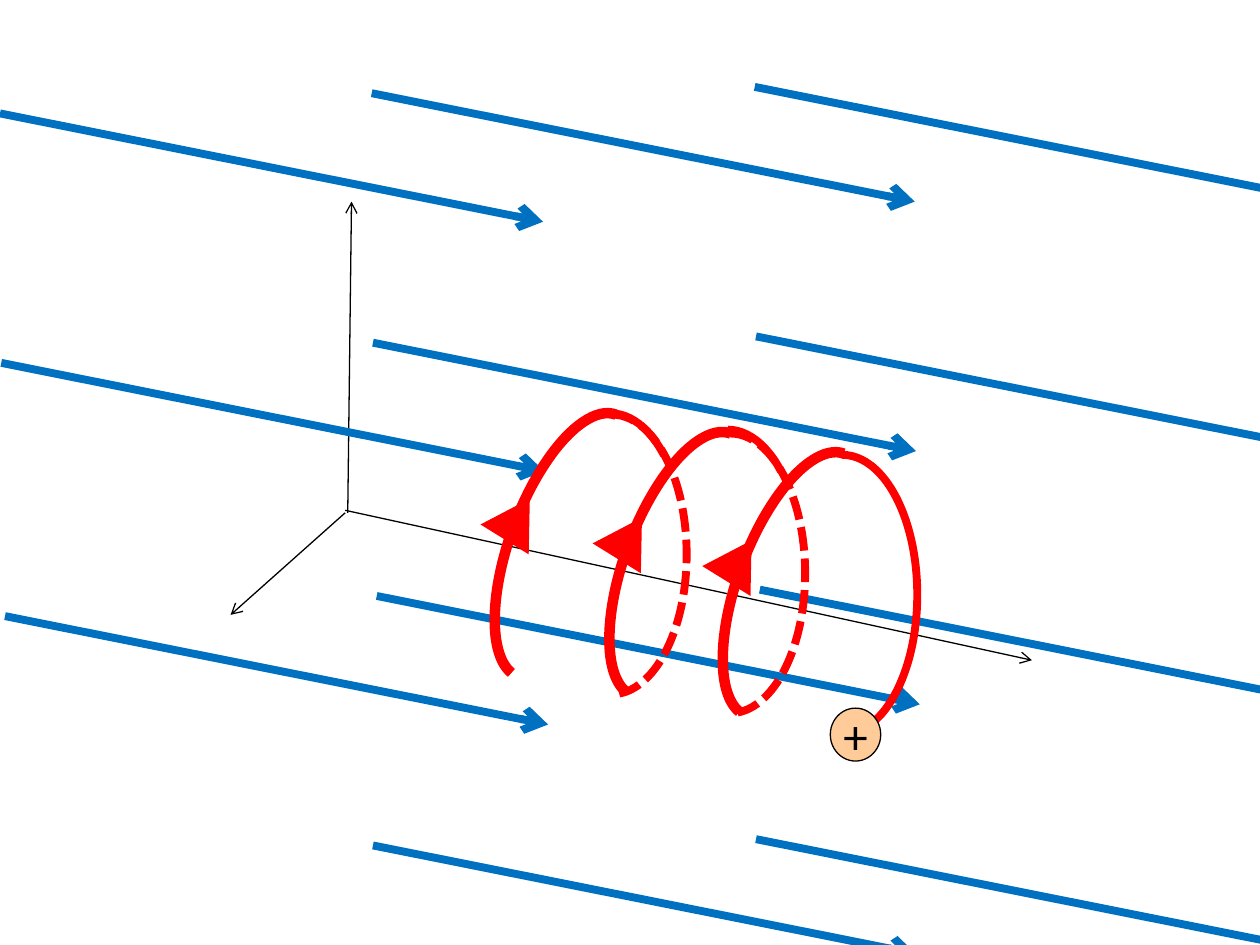
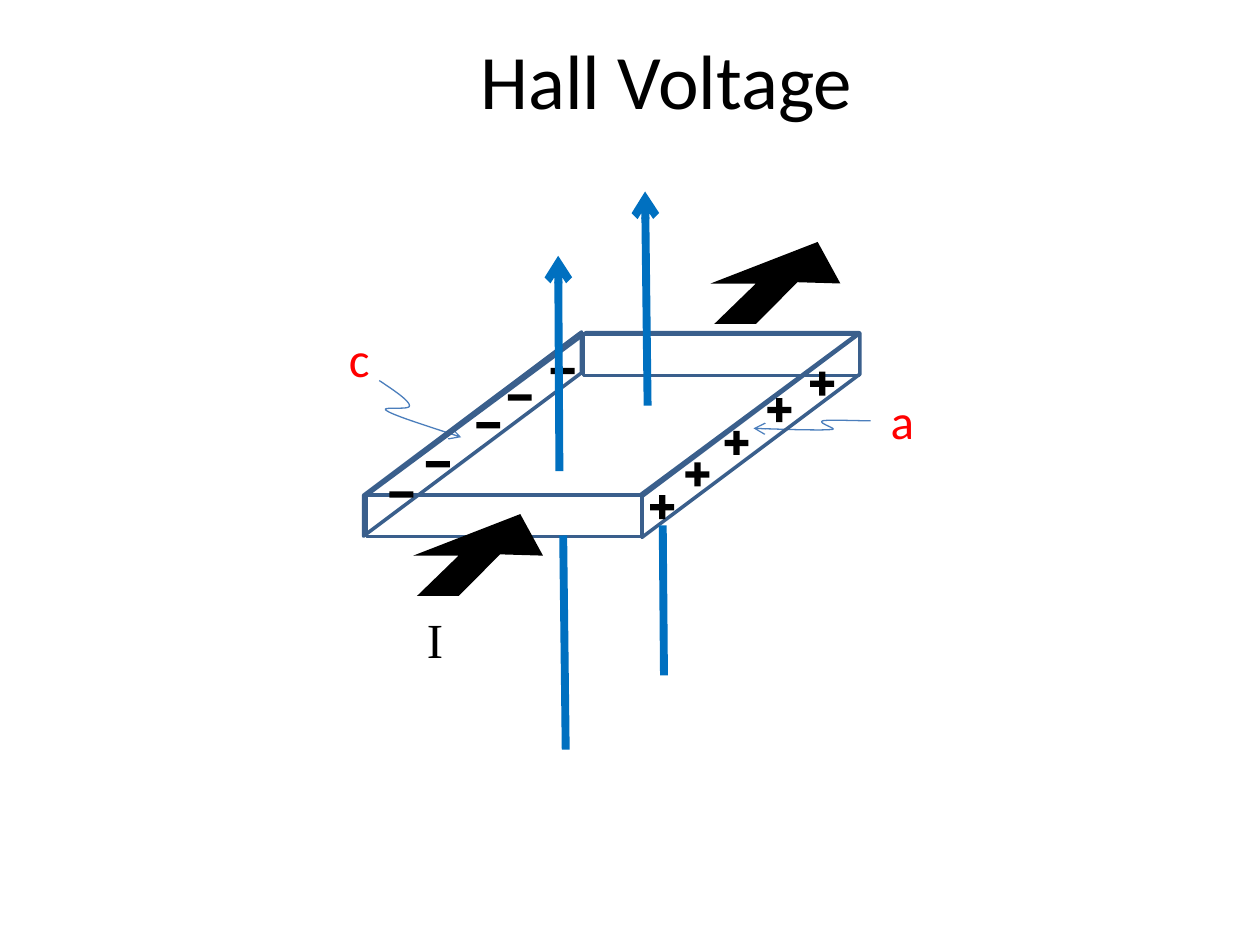
import dataclasses
import itertools
import typing

import lxml.etree
import pptx
import pptx.dml.color
import pptx.enum.dml
import pptx.enum.shapes
import pptx.enum.text
import pptx.oxml.ns
import pptx.shapes.base
import pptx.slide
import pptx.text.text
import pptx.util

EMU_PER_PX = 9144
ARC_UNITS_PER_DEGREE = 0.6
PRESETS = pptx.enum.shapes.MSO_SHAPE
CENTER = pptx.enum.text.PP_ALIGN.CENTER
MIDDLE = pptx.enum.text.MSO_ANCHOR.MIDDLE

Point = tuple[int, int]
Box = tuple[int, int, int, int]


@dataclasses.dataclass(frozen=True)
class Theme:
    black: str = "000000"
    field: str = "0070C0"
    red: str = "FF0000"
    charge: str = "FFCC99"
    edge: str = "3A5F8C"
    pointer: str = "4B7EBC"
    font: str = "Calibri"
    symbol_font: str = "Times New Roman"
    title_size: int = 44
    label_size: int = 28
    hairline: float = 0.75
    edge_width: float = 2
    field_width: float = 4.5
    front_width: float = 6


THEME = Theme()


@dataclasses.dataclass(frozen=True)
class Stroke:
    color: str
    width: float
    arrow: bool = False
    dashed: bool = False


AXIS = Stroke(THEME.black, THEME.hairline, arrow=True)
FIELD = Stroke(THEME.field, THEME.field_width, arrow=True)
FIELD_BELOW = Stroke(THEME.field, THEME.field_width)
POINTER = Stroke(THEME.pointer, THEME.hairline, arrow=True)
EDGE = Stroke(THEME.edge, THEME.edge_width)
COIL = Stroke(THEME.red, THEME.field_width)
COIL_HIDDEN = Stroke(THEME.red, THEME.field_width, dashed=True)
COIL_FRONT = Stroke(THEME.red, THEME.front_width)


class Segment(typing.NamedTuple):
    start: Point
    end: Point
    stroke: Stroke


class Turn(typing.NamedTuple):
    front: Point
    back: Point
    head: Point
    stroke: Stroke


class Label(typing.NamedTuple):
    text: str
    box: Box
    color: str
    font: str


class Face(typing.NamedTuple):
    preset: PRESETS
    box: Box
    skew: float | None = None
    upright: bool = False


AXES = (
    Segment((276, 407), (279, 160), AXIS),
    Segment((274, 405), (819, 524), AXIS),
    Segment((274, 407), (183, 488), AXIS),
)
FIELD_COLUMNS = (((295, 74), 4), ((0, 90), 3), ((599, 69), 4))
FIELD_ROWS = ((0, 0), (1, 198), (4, 399), (1, 597))
FIELD_STEP = (431, 86)

TURNS = (
    Turn((405, 322), (426, 329), (388, 393), COIL_HIDDEN),
    Turn((496, 337), (520, 344), (477, 408), COIL_HIDDEN),
    Turn((586, 353), (609, 361), (564, 426), COIL),
)
VISIBLE_CRESTS = ((425, 328), (518, 341))
FRONT_SIZE = (90, 222)
BACK_SIZE = (119, 222)
HEAD_SIZE = (45, 38)
TOP_ANGLE = 270
HALF_END = 86.92
CREST_END = 298.56

LABELS = (
    Label("a", (697, 305, 39, 57), THEME.red, THEME.font),
    Label("c", (267, 256, 37, 57), THEME.red, THEME.font),
    Label("I", (329, 479, 33, 57), THEME.black, THEME.symbol_font),
)
POINTERS = (
    ((301, 302), (313, 310), (325, 318), (325, 322), (326, 326), (300, 322),
     (307, 326), (313, 330), (339, 338), (366, 347)),
    ((691, 334), (675, 334), (659, 333), (653, 334), (648, 336), (668, 341),
     (659, 341), (649, 342), (598, 340), (598, 340)),
)
PLATE = (
    Face(PRESETS.PARALLELOGRAM, (291, 264, 391, 129), 1.35),
    Face(PRESETS.RECTANGLE, (463, 265, 219, 33)),
    Face(PRESETS.PARALLELOGRAM, (515, 259, 162, 173), 0.8, True),
    Face(PRESETS.PARALLELOGRAM, (294, 258, 162, 173), 0.8, True),
    Face(PRESETS.RECTANGLE, (291, 393, 219, 33)),
)
BAR_SIZE = (19, 5)
NEGATIVES = ((403, 313), (437, 292), (309, 390), (338, 366), (378, 335))
POSITIVES = ((575, 349), (609, 323), (643, 302), (516, 400), (544, 374))
PLATE_FIELD = (
    Segment((514, 322), (512, 152), FIELD),
    Segment((444, 374), (443, 203), FIELD),
    Segment((527, 536), (526, 417), FIELD_BELOW),
    Segment((449, 595), (447, 425), FIELD_BELOW),
)
CURRENT_OUTLINE = ((36, 65), (3, 65), (36, 33), (0, 33), (85, 0), (103, 33), (69, 32))
CURRENT_ORIGINS = ((564, 192), (328, 408))


def px(value: float) -> int:
    return pptx.util.Emu(round(value * EMU_PER_PX))


def rgb(color: str) -> pptx.dml.color.RGBColor:
    return pptx.dml.color.RGBColor.from_string(color)


def shift(point: Point, offset: Point) -> Point:
    return point[0] + offset[0], point[1] + offset[1]


def write_text(frame: pptx.text.text.TextFrame, text: str, *,
               size: int = THEME.label_size, color: str = THEME.black,
               font: str = THEME.font, align=None, anchor=None,
               wrap: bool = False) -> None:
    frame.word_wrap = wrap
    if anchor is not None:
        frame.vertical_anchor = anchor
    paragraph = frame.paragraphs[0]
    paragraph.alignment = align
    run = paragraph.add_run()
    run.text = text
    run.font.name = font
    run.font.size = pptx.util.Pt(size)
    run.font.color.rgb = rgb(color)


def apply_stroke(shape: pptx.shapes.base.BaseShape, stroke: Stroke) -> None:
    shape.line.color.rgb = rgb(stroke.color)
    shape.line.width = pptx.util.Pt(stroke.width)
    if stroke.dashed:
        shape.line.dash_style = pptx.enum.dml.MSO_LINE.SQUARE_DOT
    if stroke.arrow:
        outline = shape._element.spPr.get_or_add_ln()
        lxml.etree.SubElement(outline, pptx.oxml.ns.qn("a:tailEnd"), type="arrow")


def style_shape(shape: pptx.shapes.base.BaseShape, fill: str | None,
                stroke: Stroke | None) -> None:
    shape.shadow.inherit = False
    if fill:
        shape.fill.solid()
        shape.fill.fore_color.rgb = rgb(fill)
    else:
        shape.fill.background()
    if stroke:
        apply_stroke(shape, stroke)
    else:
        shape.line.fill.background()


def draw_segment(slide: pptx.slide.Slide, segment: Segment) -> None:
    connector = slide.shapes.add_connector(
        pptx.enum.shapes.MSO_CONNECTOR.STRAIGHT,
        *(px(value) for value in segment.start + segment.end))
    apply_stroke(connector, segment.stroke)
    lxml.etree.SubElement(connector._element.spPr, pptx.oxml.ns.qn("a:effectLst"))


def draw_preset(slide: pptx.slide.Slide, preset: PRESETS, box: Box, *,
                fill: str | None = None, stroke: Stroke | None = None,
                rotation: float = 0, flip: str | None = None,
                adjustments: tuple[float, ...] = ()) -> pptx.shapes.base.BaseShape:
    shape = slide.shapes.add_shape(preset, *(px(value) for value in box))
    style_shape(shape, fill, stroke)
    shape.rotation = rotation
    if flip:
        shape._element.spPr.xfrm.set(flip, "1")
    for index, value in enumerate(adjustments):
        shape.adjustments[index] = value
    return shape


def draw_arc(slide: pptx.slide.Slide, box: Box, end_angle: float, stroke: Stroke,
             rotation: float = 0, flip: str | None = None) -> None:
    angles = (TOP_ANGLE * ARC_UNITS_PER_DEGREE, end_angle * ARC_UNITS_PER_DEGREE)
    draw_preset(slide, PRESETS.ARC, box, stroke=stroke, rotation=rotation,
                flip=flip, adjustments=angles)


def draw_outline(slide: pptx.slide.Slide, points: list[tuple[float, float]], *,
                 fill: str | None = None, stroke: Stroke | None = None) -> None:
    corners = [(px(x), px(y)) for x, y in points]
    builder = slide.shapes.build_freeform(*corners[0])
    builder.add_line_segments(corners[1:], close=fill is not None)
    style_shape(builder.convert_to_shape(), fill, stroke)


def curve_points(controls: tuple[Point, ...], steps: int = 12) -> list[tuple[float, float]]:
    points = [controls[0]]
    for first in range(0, len(controls) - 1, 3):
        knots = controls[first:first + 4]
        for step in range(1, steps + 1):
            t = step / steps
            weights = ((1 - t) ** 3, 3 * t * (1 - t) ** 2, 3 * t * t * (1 - t), t ** 3)
            points.append(tuple(
                sum(weight * knot[axis] for weight, knot in zip(weights, knots))
                for axis in (0, 1)))
    return points


def build_helix_slide(presentation) -> None:
    slide = presentation.slides.add_slide(presentation.slide_layouts[6])
    for axis in AXES:
        draw_segment(slide, axis)
    for origin, count in FIELD_COLUMNS:
        for offset in FIELD_ROWS[:count]:
            start = shift(origin, offset)
            draw_segment(slide, Segment(start, shift(start, FIELD_STEP), FIELD))
    for turn in TURNS:
        draw_arc(slide, turn.back + BACK_SIZE, HALF_END, turn.stroke)
        draw_arc(slide, turn.front + FRONT_SIZE, HALF_END, COIL_FRONT, 20.5, "flipH")
    for crest in VISIBLE_CRESTS:
        draw_arc(slide, crest + BACK_SIZE, CREST_END, COIL)
    for turn in TURNS:
        draw_preset(slide, PRESETS.ISOSCELES_TRIANGLE, turn.head + HEAD_SIZE,
                    fill=THEME.red, rotation=31.8)
    charge = draw_preset(slide, PRESETS.OVAL, (659, 562, 40, 42), fill=THEME.charge,
                         stroke=Stroke(THEME.black, THEME.hairline))
    write_text(charge.text_frame, "+", align=CENTER, anchor=MIDDLE)


def build_hall_slide(presentation) -> None:
    slide = presentation.slides.add_slide(presentation.slide_layouts[5])
    title = slide.shapes.title
    title.left, title.top, title.width, title.height = map(px, (175, 0, 708, 125))
    write_text(title.text_frame, "Hall Voltage", size=THEME.title_size,
               align=CENTER, anchor=MIDDLE, wrap=True)
    for label in LABELS:
        frame = slide.shapes.add_textbox(*map(px, label.box)).text_frame
        write_text(frame, label.text, color=label.color, font=label.font)
        frame.auto_size = pptx.enum.text.MSO_AUTO_SIZE.SHAPE_TO_FIT_TEXT
    for controls in POINTERS:
        draw_outline(slide, curve_points(controls), stroke=POINTER)
    for face in PLATE:
        draw_preset(slide, face.preset, face.box, stroke=EDGE,
                    rotation=270 if face.upright else 0,
                    flip="flipV" if face.upright else None,
                    adjustments=(face.skew,) if face.skew else ())
    bars = itertools.chain(((corner, 0) for corner in NEGATIVES + POSITIVES),
                           ((corner, 90) for corner in POSITIVES))
    for corner, rotation in bars:
        draw_preset(slide, PRESETS.RECTANGLE, corner + BAR_SIZE,
                    fill=THEME.black, rotation=rotation)
    for segment in PLATE_FIELD:
        draw_segment(slide, segment)
    for origin in CURRENT_ORIGINS:
        draw_outline(slide, [shift(point, origin) for point in CURRENT_OUTLINE],
                     fill=THEME.black)


def main() -> None:
    presentation = pptx.Presentation()
    presentation.slide_width, presentation.slide_height = px(1000), px(750)
    build_helix_slide(presentation)
    build_hall_slide(presentation)
    presentation.save("out.pptx")


if __name__ == "__main__":
    main()
